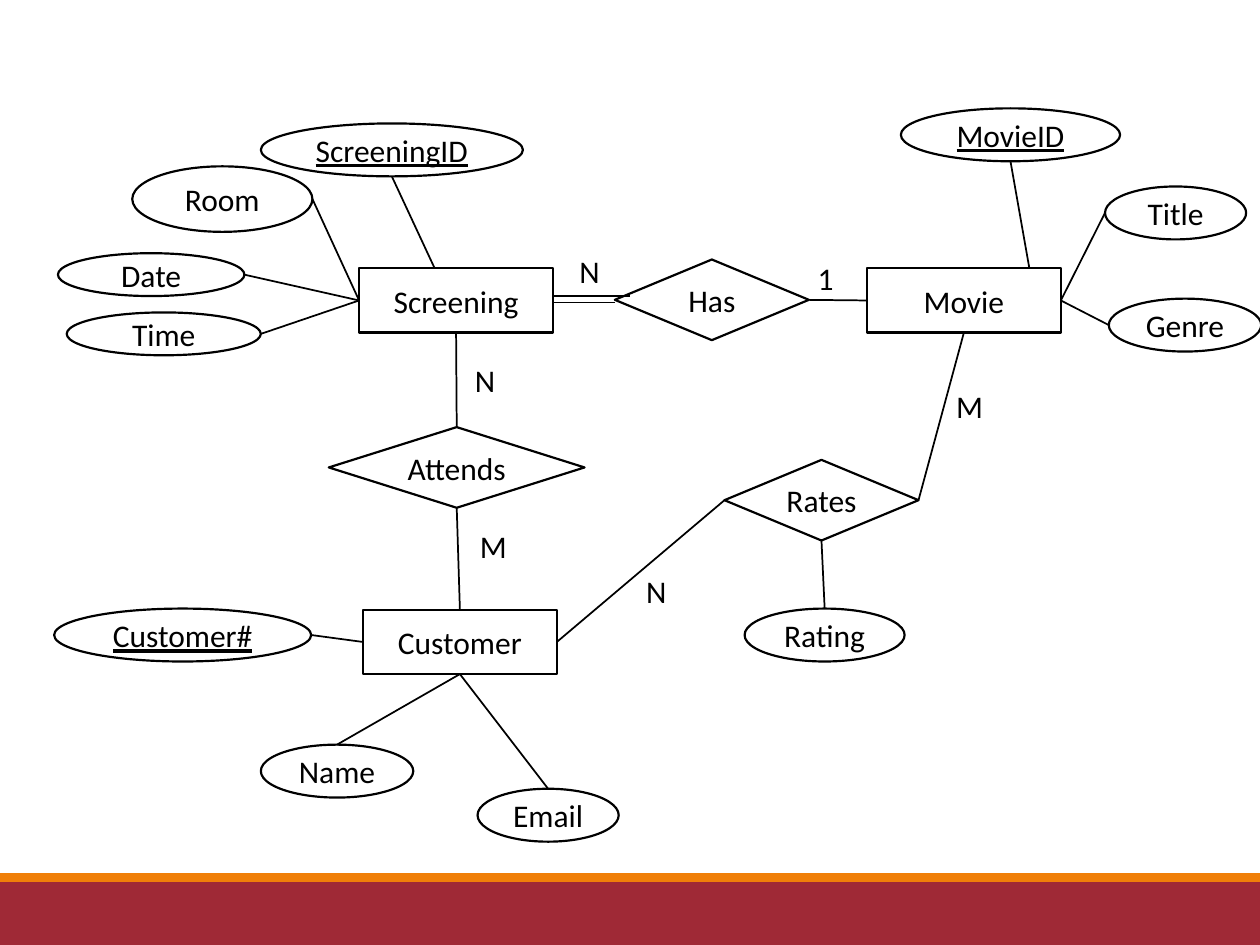
from dataclasses import dataclass

from lxml import etree
from pptx import Presentation
from pptx.dml.color import RGBColor
from pptx.enum import shapes, text
from pptx.oxml.ns import qn
from pptx.util import Inches, Pt

RECT = shapes.MSO_SHAPE.RECTANGLE
OVAL = shapes.MSO_SHAPE.OVAL
DIAMOND = shapes.MSO_SHAPE.DIAMOND


@dataclass(frozen=True)
class Theme:
    ink: RGBColor = RGBColor(0x00, 0x00, 0x00)
    paper: RGBColor = RGBColor(0xFF, 0xFF, 0xFF)
    band: RGBColor = RGBColor(0x9F, 0x29, 0x36)
    stripe: RGBColor = RGBColor(0xF0, 0x7F, 0x09)
    font: str = "Calibri"
    size: float = 18
    outline: float = 1.25
    link: float = 1


class Diagram:
    """Draws entity-relationship parts on one slide."""

    def __init__(self, s, theme):
        self.s, self.theme = s, theme

    def bar(self, top, height, color):
        sp = self.s.shapes.add_shape(RECT, 0, Inches(top), Inches(10), Inches(height))
        sp.shadow.inherit = False
        sp.fill.solid()
        sp.fill.fore_color.rgb = color
        sp.line.fill.background()

    def label(self, tf, words, align, underline=None):
        tf.word_wrap = False
        p = tf.paragraphs[0]
        p.alignment = align
        r = p.add_run()
        r.text = words
        r.font.name = self.theme.font
        r.font.size = Pt(self.theme.size)
        r.font.color.rgb = self.theme.ink
        r.font.underline = underline

    def node(self, kind, words, left, top, width, height, key=None):
        sp = self.s.shapes.add_shape(kind, *map(Inches, (left, top, width, height)))
        sp.shadow.inherit = False
        sp.fill.solid()
        sp.fill.fore_color.rgb = self.theme.paper
        sp.line.color.rgb = self.theme.ink
        sp.line.width = Pt(self.theme.outline)
        sp.text_frame.vertical_anchor = text.MSO_ANCHOR.MIDDLE
        self.label(sp.text_frame, words, text.PP_ALIGN.CENTER, key)
        return sp

    def entity(self, words, left, top):
        return self.node(RECT, words, left, top, 1.54, 0.51)

    def relationship(self, words, left, top, width=1.54):
        return self.node(DIAMOND, words, left, top, width, 0.64)

    def attribute(self, words, left, top, width, height=0.42, key=None):
        return self.node(OVAL, words, left, top, width, height, key)

    def cardinality(self, words, left, top):
        sp = self.s.shapes.add_textbox(*map(Inches, (left, top, 0.49, 0.4)))
        self.label(sp.text_frame, words, text.PP_ALIGN.LEFT)

    def line(self, start, end):
        cx = self.s.shapes.add_connector(shapes.MSO_CONNECTOR.STRAIGHT, *start, *end)
        cx.line.color.rgb = self.theme.ink
        cx.line.width = Pt(self.theme.link)
        etree.SubElement(cx._element.spPr, qn("a:effectLst"))

    def link(self, a, a_side, b, b_side):
        self.line(side(a, a_side), side(b, b_side))


def side(sp, name):
    """Midpoint of one side of a shape."""
    fx, fy = {"left": (0, 0.5), "right": (1, 0.5),
              "top": (0.5, 0), "bottom": (0.5, 1)}[name]
    return sp.left + int(sp.width * fx), sp.top + int(sp.height * fy)


def main():
    prs = Presentation()
    prs.slide_width, prs.slide_height = Inches(10), Inches(7.5)
    theme = Theme()
    d = Diagram(prs.slides.add_slide(prs.slide_layouts[6]), theme)

    # Footer bands
    d.bar(7, 0.5, theme.band)
    d.bar(6.93, 0.07, theme.stripe)

    # Entities
    screening = d.entity("Screening", 2.85, 2.13)
    movie = d.entity("Movie", 6.88, 2.13)
    customer = d.entity("Customer", 2.88, 4.84)

    # Relationships
    has = d.relationship("Has", 4.88, 2.06)
    attends = d.relationship("Attends", 2.61, 3.39, 2.03)
    rates = d.relationship("Rates", 5.75, 3.65)

    # Attributes, with key attributes underlined
    room = d.attribute("Room", 1.05, 1.32, 1.43, 0.52)
    screening_id = d.attribute("ScreeningID", 2.07, 0.98, 2.08, key=True)
    time = d.attribute("Time", 0.53, 2.48, 1.54, 0.34)
    date = d.attribute("Date", 0.46, 2.01, 1.48, 0.34)
    movie_id = d.attribute("MovieID", 7.15, 0.86, 1.74, key=True)
    title = d.attribute("Title", 8.77, 1.48, 1.12)
    genre = d.attribute("Genre", 8.8, 2.37, 1.21)
    customer_no = d.attribute("Customer#", 0.43, 4.83, 2.04, key=True)
    email = d.attribute("Email", 3.79, 6.26, 1.12)
    name = d.attribute("Name", 2.07, 5.91, 1.21)
    rating = d.attribute("Rating", 5.91, 4.83, 1.27)

    # Links between midpoints of sides
    for ends in (
        (room, "right", screening, "left"),
        (date, "right", screening, "left"),
        (time, "right", screening, "left"),
        (title, "left", movie, "right"),
        (genre, "left", movie, "right"),
        (customer_no, "right", customer, "left"),
        (email, "top", customer, "bottom"),
        (name, "top", customer, "bottom"),
        (rating, "top", rates, "bottom"),
        (has, "right", movie, "left"),
        (screening, "bottom", attends, "top"),
        (attends, "bottom", customer, "top"),
        (rates, "left", customer, "right"),
        (movie, "bottom", rates, "right"),
    ):
        d.link(*ends)

    # Key links meet the entity's top edge off centre
    d.line(side(screening_id, "bottom"), (Inches(3.45), screening.top))
    d.line(side(movie_id, "bottom"), (Inches(8.17), movie.top))

    # Double line: total participation of Screening in Has
    for y, x_end in ((2.35, 5), (2.4, 4.88)):
        d.line((Inches(4.39), Inches(y)), (Inches(x_end), Inches(y)))

    # Cardinalities
    for words, left, top in (
        ("1", 6.39, 2.01), ("N", 4.5, 1.95), ("N", 3.67, 2.82),
        ("N", 5.03, 4.49), ("M", 3.71, 4.13), ("M", 7.49, 3.02),
    ):
        d.cardinality(words, left, top)

    prs.save("out.pptx")


if __name__ == "__main__":
    main()
